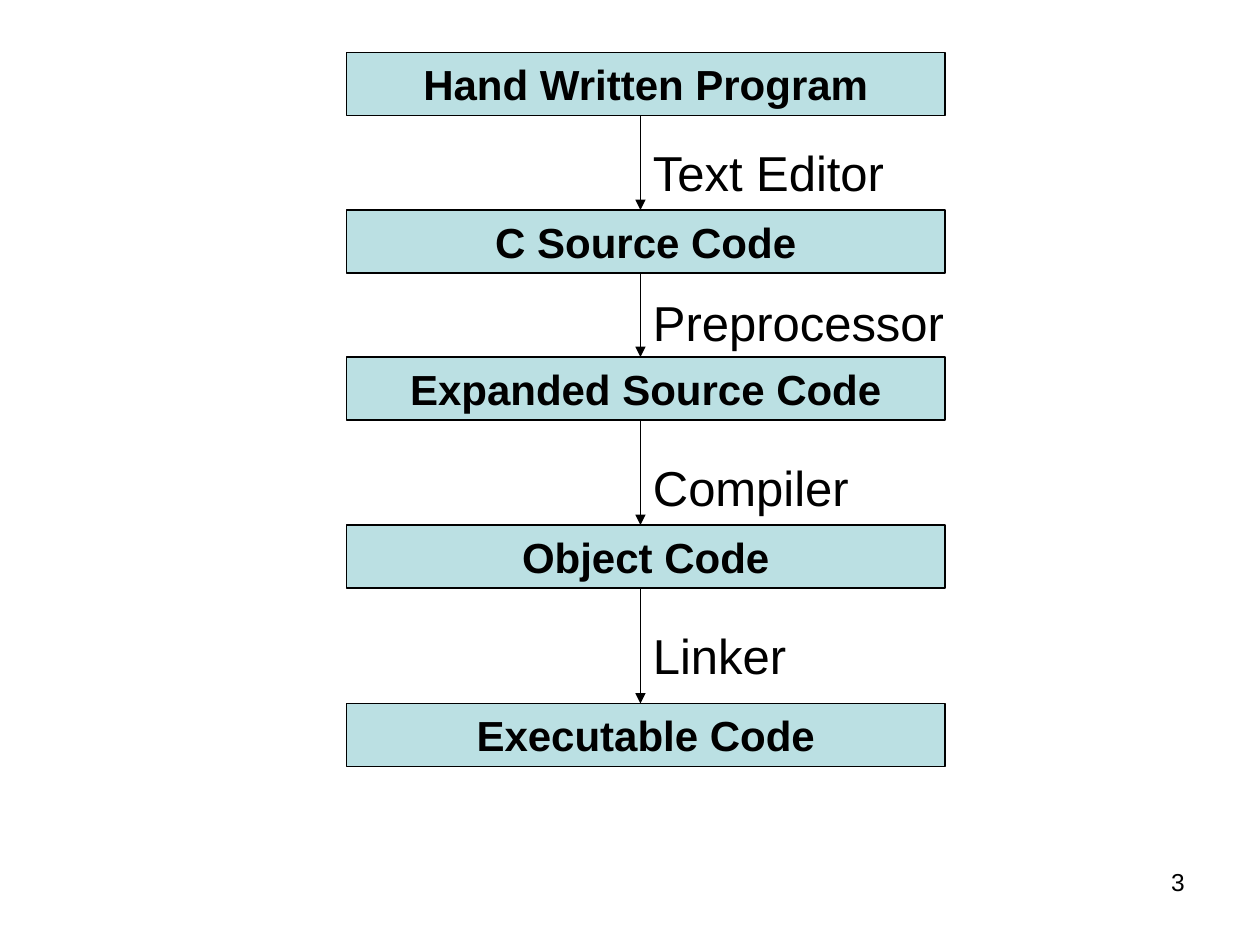
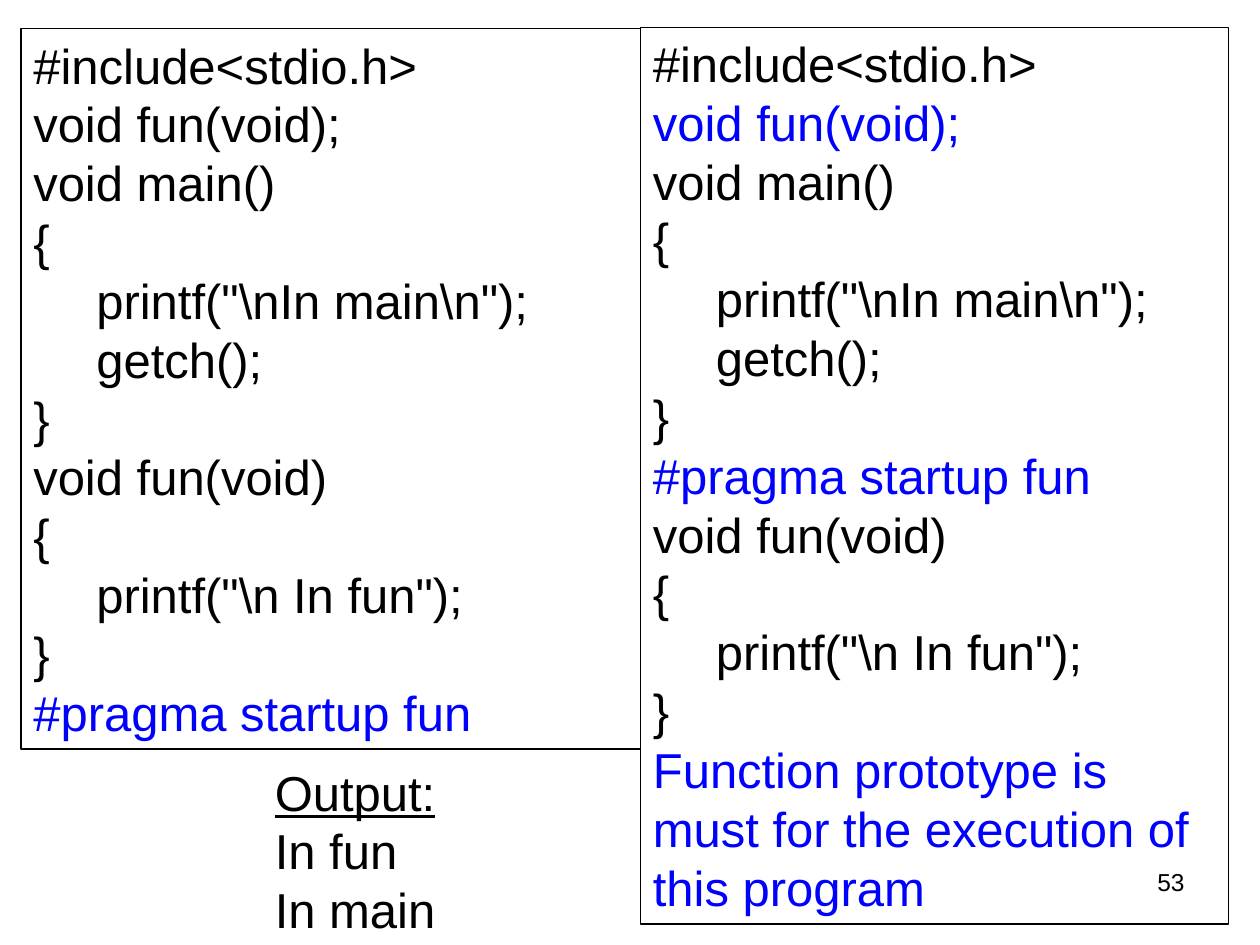
from itertools import pairwise

from lxml.etree import SubElement as Sub
from pptx import Presentation
from pptx.dml.color import RGBColor as RGB
from pptx.enum.shapes import MSO_CONNECTOR as Conn, MSO_SHAPE as Form
from pptx.enum.text import MSO_ANCHOR as Anchor, PP_ALIGN as Align
from pptx.oxml.ns import qn
from pptx.util import Inches, Pt

UNIT = Inches(1) / 12
WIDE, HIGH = 120, 90
AXIS = 61
BOX_X, BOX_W, BOX_H = 33, 57, 6
BLACK, BLUE, TEAL = "000000", "0000FF", "BBE0E3"

STAGES = [
    ("Hand Written Program", 5),
    ("C Source Code", 20),
    ("Expanded Source Code", 34),
    ("Object Code", 50),
    ("Executable Code", 67),
]
TOOLS = [
    ("Text Editor", 13, 26),
    ("Preprocessor", 27.25, 34),
    ("Compiler", 43, 26),
    ("Linker", 59, 26),
]
PROTO = "void fun(void);"
PRAGMA = "#pragma startup fun"
NOTE = "Function prototype is must for the execution of this program"
TOP = ["#include<stdio.h>", PROTO]
MAIN = ["void main()", "{", '\tprintf("\\nIn main\\n");', "\tgetch();", "}"]
FUN = ["void fun(void)", "{", '\tprintf("\\n In fun");', "}"]


def grid(*cells):
    """Turn grid cells into slide lengths."""
    return [round(cell * UNIT) for cell in cells]


def tint(part, color):
    """Give a fill, line or font a solid colour."""
    if hasattr(part, "solid"):
        part.solid()
        part.fore_color.rgb = RGB.from_string(color)
    else:
        part.color.rgb = RGB.from_string(color)


def stroke(line):
    """Draw a thin black line."""
    tint(line, BLACK)
    line.width = Pt(0.75)


def write(shape, lines, size=28, align=Align.LEFT, bold=False, blue=(), under=()):
    """Fill a shape with one paragraph per line."""
    frame = shape.text_frame
    frame.word_wrap = True
    for row, text in enumerate(lines):
        para = frame.add_paragraph() if row else frame.paragraphs[0]
        para.text = text
        para.alignment = align
        font = para.font
        font.name, font.size, font.bold = "Arial", Pt(size), bold
        font.underline = text in under
        tint(font, BLUE if text in blue else BLACK)


def label(slide, area, lines, **style):
    """Add plain text."""
    write(slide.shapes.add_textbox(*grid(*area)), lines, **style)


def panel(slide, area, lines, fill=None, anchor=Anchor.TOP, **style):
    """Add a framed box with text."""
    box = slide.shapes.add_shape(Form.RECTANGLE, *grid(*area))
    box.shadow.inherit = False
    if fill:
        tint(box.fill, fill)
    else:
        box.fill.background()
    stroke(box.line)
    box.text_frame.vertical_anchor = anchor
    write(box, lines, **style)


def arrow(slide, start, end):
    """Add a downward arrow on the axis."""
    link = slide.shapes.add_connector(Conn.STRAIGHT, *grid(AXIS, start, AXIS, end))
    stroke(link.line)
    Sub(link.line._get_or_add_ln(), qn("a:tailEnd"), type="triangle")
    Sub(link._element.spPr, qn("a:effectLst"))


def page(deck, number):
    """Add a blank slide with its number."""
    slide = deck.slides.add_slide(deck.slide_layouts[6])
    label(slide, (86, 82, 28, 6.25), [number], size=14, align=Align.RIGHT)
    return slide


def flow(slide):
    """Draw the steps from program to executable."""
    for name, top in STAGES:
        panel(slide, (BOX_X, top, BOX_W, BOX_H), [name], fill=TEAL,
              anchor=Anchor.MIDDLE, size=24, align=Align.CENTER, bold=True)
    for (_, top), (_, below) in pairwise(STAGES):
        arrow(slide, top + BOX_H, below)
    for name, top, width in TOOLS:
        label(slide, (AXIS, top, width, 6.85), [name])


def code(slide):
    """Show both listings and the output."""
    panel(slide, (2, 2.75, AXIS - 2, 68.6), TOP + MAIN + FUN + [PRAGMA],
          blue=[PRAGMA])
    label(slide, (25, 72, 24, 18), ["Output:", "In fun", "In main"],
          under=["Output:"])
    panel(slide, (AXIS, 2.6, 56, 85.4), TOP + MAIN + [PRAGMA] + FUN + [NOTE],
          blue=[PROTO, PRAGMA, NOTE])


def main():
    """Build and save the deck."""
    deck = Presentation()
    deck.slide_width, deck.slide_height = grid(WIDE, HIGH)
    flow(page(deck, "3"))
    code(page(deck, "53"))
    deck.save("out.pptx")


if __name__ == "__main__":
    main()
